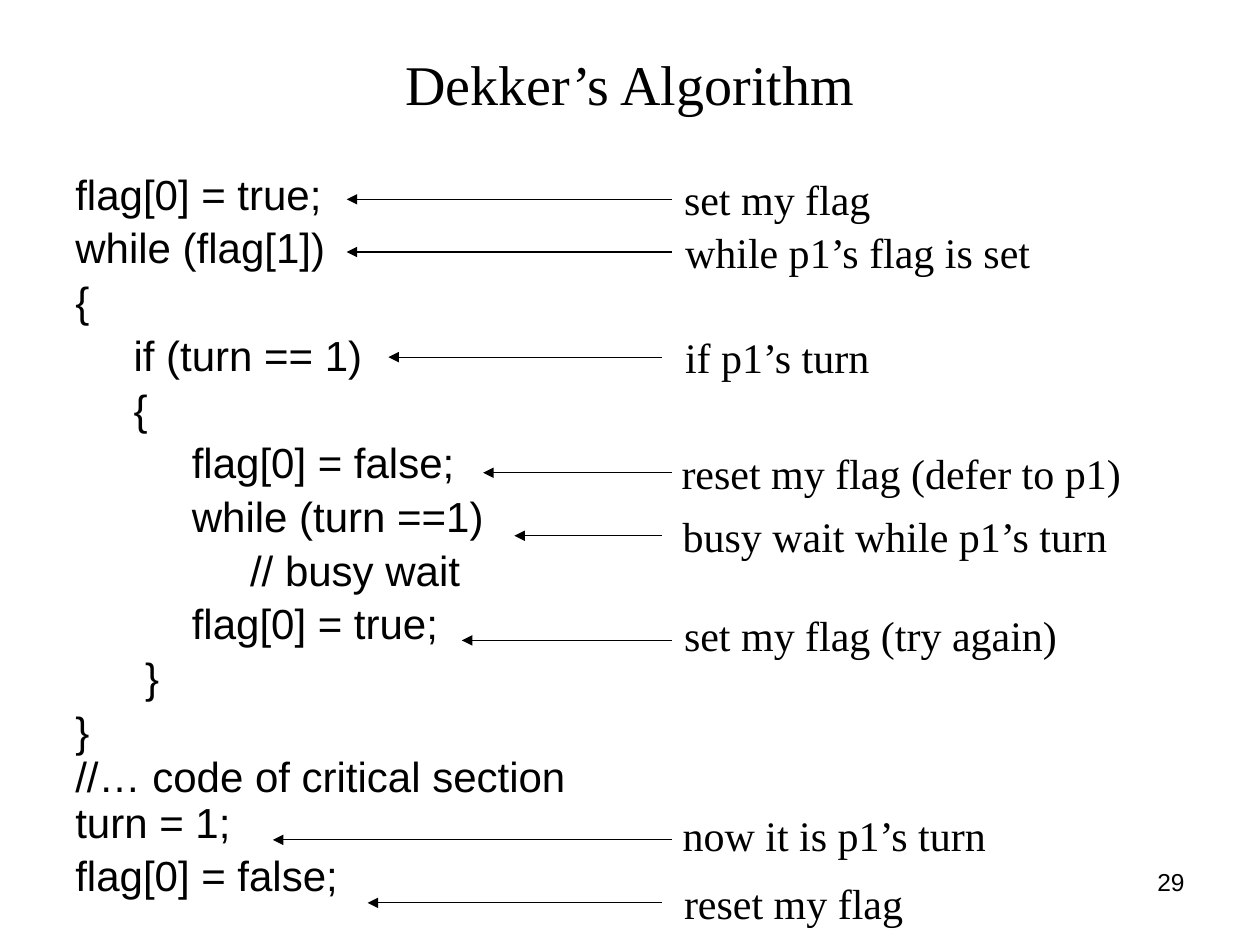
from dataclasses import dataclass

import pptx
import pptx.dml.color
import pptx.enum.shapes
import pptx.enum.text
import pptx.oxml
import pptx.oxml.ns
import pptx.util
from pptx.util import Cm


@dataclass(frozen=True)
class Theme:
    ink: pptx.dml.color.RGBColor = pptx.dml.color.RGBColor(0, 0, 0)
    serif: str = "Times New Roman"
    sans: str = "Arial"
    title_size: int = 32
    body_size: int = 24
    number_size: int = 14


theme = Theme()
ALIGN = pptx.enum.text.PP_ALIGN

presentation = pptx.Presentation()
presentation.slide_width = Cm(25.4)
presentation.slide_height = Cm(19.05)
slide = presentation.slides.add_slide(presentation.slide_layouts[6])


def add_text(text, box, font_name, size, alignment=ALIGN.LEFT, wrap=True):
    """Add a text box at box (left, top, width, height in cm); return its frame."""
    shape = slide.shapes.add_textbox(*(Cm(length) for length in box))
    text_frame = shape.text_frame
    text_frame.word_wrap = wrap
    text_frame.text = text
    for paragraph in text_frame.paragraphs:
        paragraph.alignment = alignment
        for run in paragraph.runs:
            run.font.name = font_name
            run.font.size = pptx.util.Pt(size)
            run.font.color.rgb = theme.ink
    return text_frame


def add_arrow(start_x, tip_x, y):
    arrow = slide.shapes.add_connector(
        pptx.enum.shapes.MSO_CONNECTOR.STRAIGHT, Cm(start_x), Cm(y), Cm(tip_x), Cm(y))
    arrow.line.color.rgb = theme.ink
    arrow.line.width = pptx.util.Pt(0.75)
    properties = arrow.line._get_or_add_ln()
    head = pptx.oxml.parse_xml(
        f'<a:tailEnd {pptx.oxml.ns.nsdecls("a")} type="triangle"/>')
    properties.append(head)
    effects = pptx.oxml.parse_xml(f'<a:effectLst {pptx.oxml.ns.nsdecls("a")}/>')
    properties.addnext(effects)


# Page number and title
add_text("29", (18.21, 17.35, 5.92, 1.32), theme.sans, theme.number_size, ALIGN.RIGHT)
title = add_text("Dekker’s Algorithm", (1.27, 0.2, 22.86, 2.97),
                 theme.serif, theme.title_size, ALIGN.CENTER)
title.vertical_anchor = pptx.enum.text.MSO_ANCHOR.MIDDLE

# Code listing
code = """\
flag[0] = true;
while (flag[1])
{
     if (turn == 1)
     {
          flag[0] = false;
          while (turn ==1)
               // busy wait
          flag[0] = true;
      }
}
//… code of critical section
turn = 1;
flag[0] = false;"""
listing = add_text(code, (1.27, 3.38, 22.86, 15.24), theme.sans, theme.body_size)
tight_lines = ("flag[0] = true;", "//… code of critical section", "turn = 1;")
for paragraph in listing.paragraphs:
    paragraph.line_spacing = 0.9
    paragraph.space_before = pptx.util.Pt(0 if paragraph.text in tight_lines else 4.8)
    properties = paragraph._p.get_or_add_pPr()
    properties.set("marL", str(Cm(0.95)))
    properties.set("indent", str(Cm(-0.95)))

# Explanations: text, left, top, width, then arrow start, tip and height
explanations = [
    ("set my flag", 13.54, 3.38, 4.27, 13.54, 6.99, 4.02),
    ("while p1’s flag is set", 13.56, 4.45, 7.47, 13.54, 6.99, 5.08),
    ("if p1’s turn", 13.56, 6.56, 4.22, 13.34, 7.83, 7.2),
    ("reset my flag (defer to p1)", 13.49, 8.89, 9.37, 13.54, 9.74, 9.53),
    ("busy wait while p1’s turn", 13.51, 10.16, 9.07, 13.34, 10.37, 10.8),
    ("set my flag (try again)", 13.54, 12.17, 8.05, 13.54, 9.31, 12.91),
    ("now it is p1’s turn", 13.51, 16.2, 6.63, 13.54, 5.5, 16.93),
    ("reset my flag", 13.54, 17.57, 4.93, 13.34, 7.41, 18.2),
]
for text, left, top, width, start_x, tip_x, y in explanations:
    add_text(text, (left, top, width, 1.27), theme.serif, theme.body_size, wrap=False)
    add_arrow(start_x, tip_x, y)

presentation.save("out.pptx")
